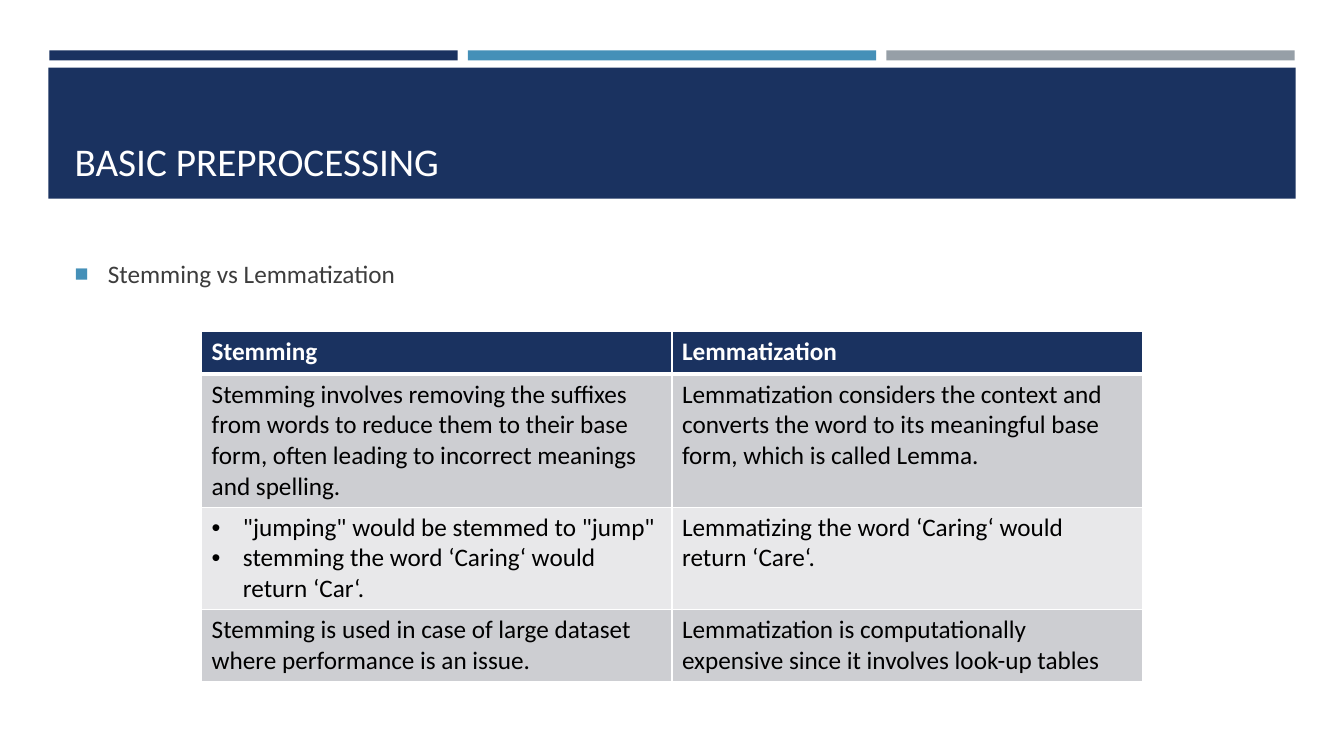
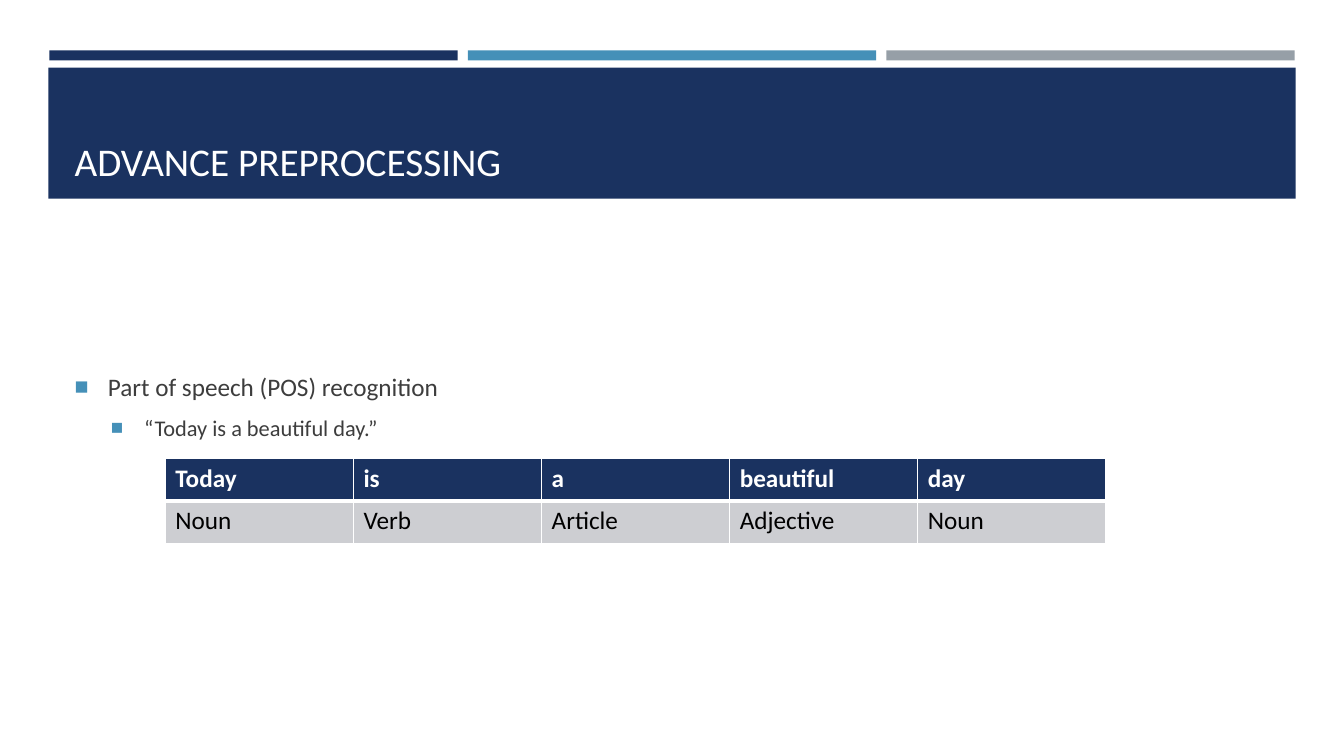
from dataclasses import dataclass

from lxml import etree
from pptx import Presentation, util as u
from pptx.dml import color
from pptx.enum import shapes, text
from pptx.oxml import ns


# Theme: every colour and type size
@dataclass(frozen=True)
class Theme:
    font: str = "Calibri"
    navy: str = "1A3260"
    blue: str = "4590B8"
    grey: str = "969FA7"
    white: str = "FFFFFF"
    black: str = "000000"
    ink: str = "3D3D3D"
    bands: tuple = ("CDCED2", "E8E8EA")
    head: int = 28
    levels: tuple = (18, 16)
    cell: int = 18


def rgb(code):
    return color.RGBColor.from_string(code)


def child(node, tag, **attrs):
    return etree.SubElement(node, ns.qn(tag), attrs)


class Deck:
    def __init__(self, theme):
        self.theme = theme
        self.prs = Presentation()
        self.prs.slide_width = u.Inches(13.33)
        self.prs.slide_height = u.Inches(7.5)
        self.slide = None

    # Slide with the shared bars, band and title
    def start(self, title):
        t = self.theme
        self.slide = self.prs.slides.add_slide(self.prs.slide_layouts[1])
        self.rect(0.48, 0.67, 12.37, 1.3, t.navy)
        for i, fill in enumerate((t.navy, t.blue, t.grey)):
            self.rect(0.49 + i * 4.15, 0.5, 4.05, 0.1, fill)
        frame = self.place(self.slide.shapes.title, 0.77, 1.11)
        frame.vertical_anchor = text.MSO_ANCHOR.BOTTOM
        frame.text = title
        frame.paragraphs[0].alignment = text.PP_ALIGN.LEFT
        self.style(frame.paragraphs[0], t.head, t.white)

    def rect(self, x, y, w, h, fill):
        box = self.slide.shapes.add_shape(
            shapes.MSO_SHAPE.RECTANGLE, *map(u.Inches, (x, y, w, h)))
        box.shadow.inherit = False
        box.fill.solid()
        box.fill.fore_color.rgb = rgb(fill)
        box.line.fill.background()
        # Keep the bands behind the placeholders
        self.slide.shapes._spTree.insert(2, box._element)

    def place(self, holder, y, h):
        holder.left, holder.top = u.Inches(0.64), u.Inches(y)
        holder.width, holder.height = u.Inches(12.06), u.Inches(h)
        frame = holder.text_frame
        frame.word_wrap = True
        frame.auto_size = text.MSO_AUTO_SIZE.NONE
        return frame

    def style(self, para, size, ink, bold=False):
        for run in para.runs:
            font = run.font
            font.name, font.size, font.bold = self.theme.font, u.Pt(size), bold
            font.color.rgb = rgb(ink)

    def bullet(self, para, mark, left, hang, tint=None, scale=100):
        props = para._p.get_or_add_pPr()
        props.set("marL", str(u.Inches(left)))
        props.set("indent", str(-u.Inches(hang)))
        if tint:
            child(child(props, "a:buClr"), "a:srgbClr", val=tint)
        child(props, "a:buSzPct", val=str(scale * 1000))
        child(props, "a:buFont", typeface="Arial")
        child(props, "a:buChar", char=mark)

    # Bulleted list, one level deeper with each item
    def points(self, y, h, *items):
        t = self.theme
        frame = self.place(self.slide.placeholders[1], y, h)
        frame.vertical_anchor = text.MSO_ANCHOR.TOP
        frame.text = "\n".join(items)
        for level, para in enumerate(frame.paragraphs):
            size = t.levels[level]
            para.level = level
            para.space_before = u.Pt(0.2 * size if level else 0)
            para.space_after = u.Pt(6)
            self.bullet(para, "■", 0.33 + level * 0.36, 0.33, t.blue, 92)
            self.style(para, size, t.ink)

    # Table with a header row and banded body rows
    def table(self, x, y, rows):
        t = self.theme
        wide, high = 9.33, 0.42
        count = len(rows[0])
        grid = self.slide.shapes.add_table(
            len(rows), count, u.Inches(x), u.Inches(y),
            u.Inches(wide), u.Inches(high * len(rows))).table
        for col in grid.columns:
            col.width = u.Inches(wide / count)
        for r, row in enumerate(rows):
            grid.rows[r].height = u.Inches(high)
            fill = t.bands[(r - 1) % 2] if r else t.navy
            for c, words in enumerate(row):
                self.cell(grid.cell(r, c), words, fill, r)

    def cell(self, cell, words, fill, row):
        t = self.theme
        listed = isinstance(words, list)
        cell.text = "\n".join(words) if listed else words
        for para in cell.text_frame.paragraphs:
            if listed:
                self.bullet(para, "•", 0.31, 0.31)
            self.style(para, t.cell, t.black if row else t.white, row == 0)
        # The rule under the header is thicker
        wide = {"T": 3 if row == 1 else 1, "B": 1 if row else 3}
        props = cell._tc.get_or_add_tcPr()
        for side in "LRTB":
            line = child(props, "a:ln" + side, w=str(u.Pt(wide.get(side, 1))))
            child(child(line, "a:solidFill"), "a:srgbClr", val=t.white)
        cell.fill.solid()
        cell.fill.fore_color.rgb = rgb(fill)


def main():
    deck = Deck(Theme())

    # Stemming and lemmatization side by side
    deck.start("BASIC PREPROCESSING")
    deck.points(2.51, 0.5, "Stemming vs Lemmatization")
    deck.table(2, 3.29, [
        ("Stemming", "Lemmatization"),
        ("Stemming involves removing the suffixes from words to reduce them "
         "to their base form, often leading to incorrect meanings and spelling.",
         "Lemmatization considers the context and converts the word to its "
         "meaningful base form, which is called Lemma."),
        (['"jumping" would be stemmed to "jump"',
          "stemming the word ‘Caring‘ would return ‘Car‘."],
         "Lemmatizing the word ‘Caring‘ would return ‘Care‘."),
        ("Stemming is used in case of large dataset where performance is an issue.",
         "Lemmatization is computationally expensive since it involves "
         "look-up tables"),
    ])

    # Parts of speech in a sentence
    deck.start("ADVANCE PREPROCESSING")
    deck.points(3.63, 0.9, "Part of speech (POS) recognition",
                "“Today is a beautiful day.”")
    deck.table(1.64, 4.55, [
        ("Today", "is", "a", "beautiful", "day"),
        ("Noun", "Verb", "Article", "Adjective", "Noun"),
    ])

    deck.prs.save("out.pptx")


if __name__ == "__main__":
    main()
